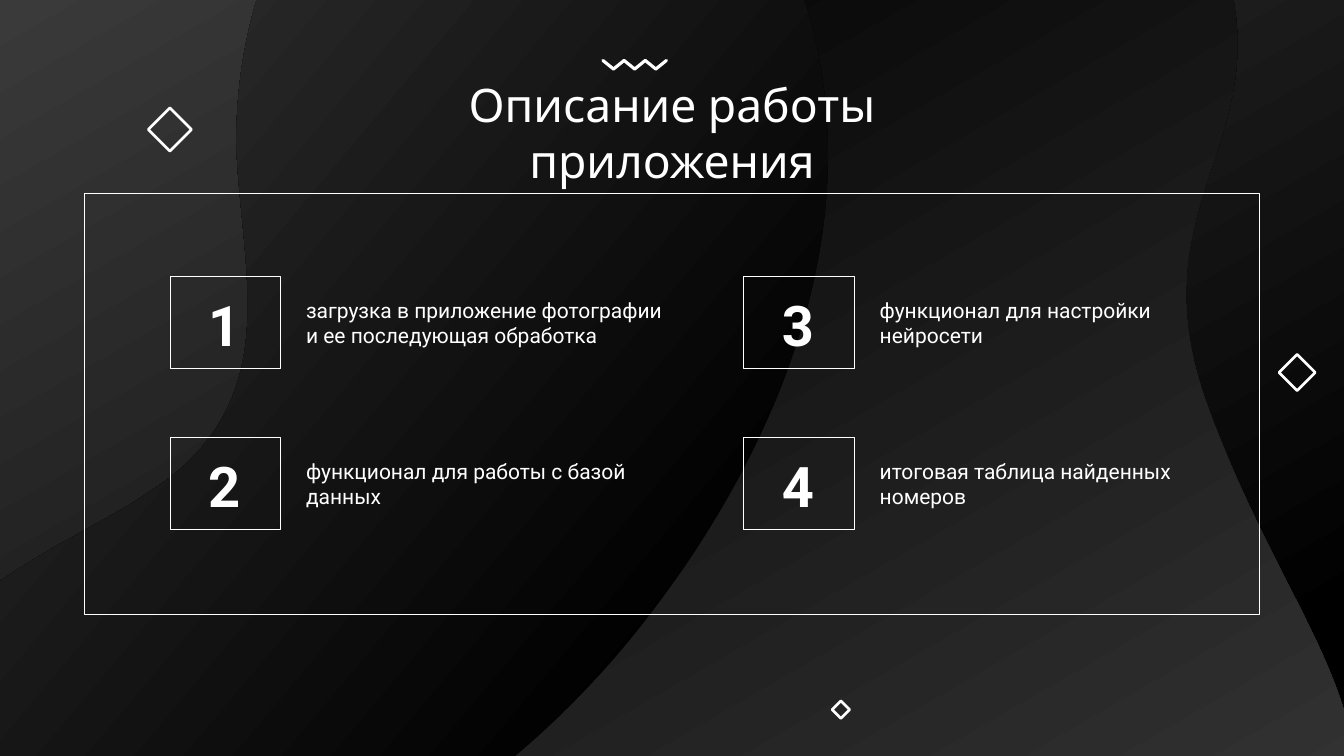
from lxml import etree
from pptx import Presentation, util as u
from pptx.dml.color import RGBColor
from pptx.enum import shapes, text
from pptx.oxml.ns import qn

WIDTH, HEIGHT = 26.66, 15
WHITE = "FFFFFF"

# Content, listed down the columns
TITLE = "Описание работы приложения"
FEATURES = [
    "загрузка в приложение фотографии и ее последующая обработка",
    "функционал для работы с базой данных",
    "функционал для настройки нейросети",
    "итоговая таблица найденных номеров",
]

# Feature grid
COLUMNS = [3.37, 14.75]
ROWS = [5.49, 8.68]
BOX_WIDTH, BOX_HEIGHT = 2.19, 1.82

# Decorations: diamonds as centre x, centre y, size
DIAMONDS = [(25.73, 7.39, 0.72), (3.37, 2.57, 0.86), (16.68, 14.08, 0.35)]
DIAMOND_LINE = 3.8
ZIGZAG_LEFT, ZIGZAG_TOP, ZIGZAG_STEP, ZIGZAG_DROP = 11.96, 1.2, 0.21, 0.17

# Background waves: gradient stops, clockwise angle, extent, start, Bezier segments
WAVES = [
    ([(0.19, "000000"), (1, "3B3A3A")], 60, (-2.65, -3.15, 29.54, 23.01), (12.97, 3.38), [
        (10.8, 8.31, 7.64, 9.97, 3.88, 10.43),
        (-0.99, 11.03, -2.69, 13.28, -2.65, 15.54),
        (-2.55, 20.71, 3.84, 19.67, 9.11, 18.89),
        (10.44, 18.69, 14.2, 18.43, 15.47, 18.76),
        (16.96, 19.16, 18.61, 19.65, 20.18, 19.79),
        (23.27, 20.07, 26.39, 19.51, 26.85, 16.16),
        (27.19, 13.64, 25.32, 11.81, 23.95, 8.04),
        (22.58, 4.29, 25.03, 2.98, 24.46, -0.03),
        (23.48, -5.22, 16.16, -3.83, 12.97, 3.38)]),
    ([(0.22, "000000"), (0.98, "3B3B3B")], 220, (-2.43, -4.23, 18.85, 23.37), (-2.09, 14.06), [
        (-0.92, 11.11, 2.41, 10.62, 3.91, 8.98),
        (5.34, 7.4, 4.87, 5.49, 4.71, 3.31),
        (4.55, 1.1, 5.33, -2.26, 7.58, -3.53),
        (10.29, -5.06, 14.6, -4.2, 15.95, 0),
        (17.21, 3.93, 15.86, 8.28, 12.93, 12.14),
        (9.82, 16.25, 5.56, 18.14, 2.62, 18.92),
        (-1.2, 19.94, -3.29, 17.08, -2.09, 14.06)]),
]


def color(value):
    return RGBColor.from_string(value)


def gradient(shape, stops, clockwise):
    shape.shadow.inherit = False
    shape.line.fill.background()
    shape.fill.gradient()
    shape.fill.gradient_angle = 360 - clockwise
    for stop, (position, value) in zip(shape.fill.gradient_stops, stops):
        stop.position = position
        stop.color.rgb = color(value)


def outline(shape, points, rounded=False):
    shape.shadow.inherit = False
    shape.fill.background()
    shape.line.color.rgb = color(WHITE)
    shape.line.width = u.Pt(points)
    if rounded:
        line = shape.line._get_or_add_ln()
        line.set("cap", "rnd")
        etree.SubElement(line, qn("a:round"))


def add_preset(slide, kind, *place):
    return slide.shapes.add_shape(kind, *map(u.Inches, place))


def add_freeform(slide, points, close):
    points = [(u.Inches(x), u.Inches(y)) for x, y in points]
    builder = slide.shapes.build_freeform(*points[0])
    builder.add_line_segments(points[1:], close=close)
    return builder.convert_to_shape()


def add_curve(slide, extent, start, segments):
    """Add a closed freeform and turn its straight sides into Bezier curves."""
    shape = add_freeform(slide, [start] + [segment[4:] for segment in segments], close=True)
    left, top, width, height = map(u.Inches, extent)
    shape.left, shape.top, shape.width, shape.height = left, top, width, height
    contour = next(shape._element.iter(qn("a:path")))
    contour.set("w", str(width))
    contour.set("h", str(height))
    for command in list(contour):
        contour.remove(command)
    for tag, numbers in [("a:moveTo", start)] + [("a:cubicBezTo", s) for s in segments]:
        command = etree.SubElement(contour, qn(tag))
        for x, y in zip(numbers[::2], numbers[1::2]):
            etree.SubElement(command, qn("a:pt"),
                             x=str(u.Inches(x) - left), y=str(u.Inches(y) - top))
    etree.SubElement(contour, qn("a:close"))
    return shape


def add_text(slide, words, place, size, font="Roboto", bold=False,
             align=text.PP_ALIGN.LEFT, anchor=text.MSO_ANCHOR.MIDDLE, inset=0):
    frame = slide.shapes.add_textbox(*map(u.Inches, place)).text_frame
    frame.word_wrap = True
    frame.auto_size = text.MSO_AUTO_SIZE.SHAPE_TO_FIT_TEXT
    frame.vertical_anchor = anchor
    frame.margin_left = frame.margin_right = u.Inches(inset)
    frame.margin_top = frame.margin_bottom = u.Inches(inset / 2)
    frame.text = words
    paragraph = frame.paragraphs[0]
    paragraph.alignment = align
    run_font = paragraph.runs[0].font
    run_font.name, run_font.size, run_font.bold = font, u.Pt(size), bold
    run_font.color.rgb = color(WHITE)


def main():
    presentation = Presentation()
    presentation.slide_width = u.Inches(WIDTH)
    presentation.slide_height = u.Inches(HEIGHT)
    slide = presentation.slides.add_slide(presentation.slide_layouts[6])
    rectangle = shapes.MSO_SHAPE.RECTANGLE

    # Background
    backdrop = add_preset(slide, rectangle, 0, 0, WIDTH, HEIGHT)
    gradient(backdrop, [(0, "3B3A3A"), (0.91, "000000")], 60)
    for stops, angle, extent, start, segments in WAVES:
        gradient(add_curve(slide, extent, start, segments), stops, angle)

    # Frame
    outline(add_preset(slide, rectangle, 1.68, 3.83, WIDTH - 2 * 1.68, 8.35), 1)

    # Decorations
    for x, y, size in DIAMONDS:
        diamond = add_preset(slide, shapes.MSO_SHAPE.DIAMOND,
                             x - size / 2, y - size / 2, size, size)
        outline(diamond, DIAMOND_LINE, rounded=True)
    zigzag = [(ZIGZAG_LEFT + i * ZIGZAG_STEP, ZIGZAG_TOP + i % 2 * ZIGZAG_DROP)
              for i in range(7)]
    outline(add_freeform(slide, zigzag, close=False), 4.5, rounded=True)

    # Numbered features
    for index, feature in enumerate(FEATURES):
        column, row = divmod(index, len(ROWS))
        left, top = COLUMNS[column], ROWS[row]
        outline(add_preset(slide, rectangle, left, top, BOX_WIDTH, BOX_HEIGHT), 1)
        add_text(slide, str(index + 1), (left, top + 0.27, 2.16, 1.35), 80,
                 bold=True, align=text.PP_ALIGN.CENTER)
        add_text(slide, feature, (left + 2.7, top + 0.41, 7.25, 1.01), 30)

    # Title
    add_text(slide, TITLE, (7.42, 1.47, 11.82, 2.32), 66, font="League Spartan",
             align=text.PP_ALIGN.CENTER, anchor=text.MSO_ANCHOR.TOP, inset=0.1)

    presentation.save("out.pptx")


if __name__ == "__main__":
    main()
